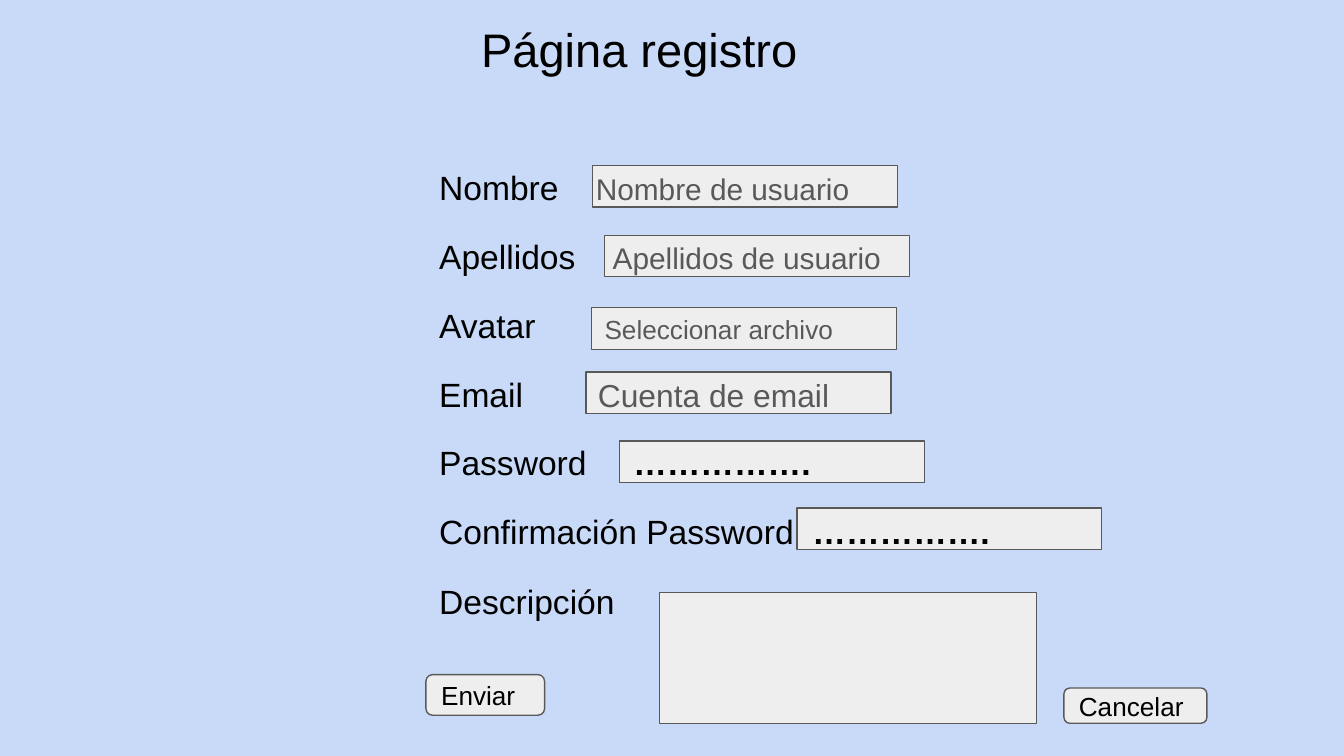
from pptx import Presentation
from pptx.dml.color import RGBColor
from pptx.enum.shapes import MSO_SHAPE
from pptx.enum.text import MSO_ANCHOR, PP_ALIGN
from pptx.util import Pt
from lxml.etree import SubElement
from pptx.oxml.ns import qn

HUES = {"back": "C9DAF8", "field": "EEEEEE", "edge": "595959",
        "hint": "595959", "ink": "000000"}
DOTS = "……………."
ROWS = [
    ("Nombre", 84, "Nombre de usuario", {"size": 16, "hue": "hint"}),
    ("Apellidos", 93, "Apellidos de usuario", {"size": 16, "hue": "hint"}),
    ("Avatar", 0, "", {}),
    ("Email", 85, "Cuenta de email", {"size": 17, "hue": "hint"}),
    ("Password", 104, DOTS, {"bold": True}),
    ("Confirmación Password", 200, DOTS, {"bold": True}),
]
FIELDS = [(89.3, 9.4), (95.8, 46.8), (88.6, 85.7),
          (85.7, 120.2), (103.7, 157), (198.7, 193)]


def hue(name):
    """Return the named colour."""
    return RGBColor.from_string(HUES[name])


def write(para, text, size=18, hue_name="ink", bold=False):
    """Add one formatted run to a paragraph."""
    run = para.add_run()
    run.text = text
    font = run.font
    font.name, font.size, font.bold = "Arial", Pt(size), bold
    font.color.rgb = hue(hue_name)


def inset(frame):
    """Give a text frame equal margins and wrapping."""
    frame.word_wrap = True
    frame.margin_left = frame.margin_right = Pt(7.2)
    frame.margin_top = frame.margin_bottom = Pt(7.2)


def label(slide, box, text="", **form):
    """Place a text box and return its frame."""
    frame = slide.shapes.add_textbox(*map(Pt, box)).text_frame
    inset(frame)
    if text:
        write(frame.paragraphs[0], text, **form)
    return frame


def panel(slide, box, text="", kind=MSO_SHAPE.RECTANGLE):
    """Place a grey field or button with optional text."""
    shape = slide.shapes.add_shape(kind, *map(Pt, box))
    shape.shadow.inherit = False
    shape.fill.solid()
    shape.fill.fore_color.rgb = hue("field")
    shape.line.color.rgb = hue("edge")
    shape.line.width = Pt(0.75)
    if text:
        frame = shape.text_frame
        inset(frame)
        frame.vertical_anchor = MSO_ANCHOR.MIDDLE
        para = frame.paragraphs[0]
        para.alignment = PP_ALIGN.LEFT
        tint = "ink" if kind == MSO_SHAPE.ROUNDED_RECTANGLE else "hint"
        write(para, text, size=14, hue_name=tint)


def set_tab(para, pos):
    """Add a left tab stop to a paragraph."""
    stops = SubElement(para._p.get_or_add_pPr(), qn("a:tabLst"))
    SubElement(stops, qn("a:tab"), pos=str(Pt(pos)), algn="l")


def form(slide, box):
    """Draw the entry fields and their labelled rows."""
    left, top, width, height = box
    for (x, y), row in zip(FIELDS, ROWS):
        text = "Seleccionar archivo" if row[0] == "Avatar" else ""
        panel(slide, (left + x, top + y, 163.4, 22.3), text)
    frame = label(slide, box)
    for i, (name, stop, value, look) in enumerate(ROWS):
        para = frame.add_paragraph() if i else frame.paragraphs[0]
        para.line_spacing = 1.15
        if i:
            para.space_before = Pt(12)
        write(para, name)
        if value:
            set_tab(para, stop)
            write(para, "\t" + value, size=look.get("size", 18),
                  hue_name=look.get("hue", "ink"),
                  bold=look.get("bold", False))


def foot(slide, box):
    """Draw the description area and the two buttons."""
    left, top, width, height = box
    label(slide, (left, top, 190.8, 36), "Descripción")
    panel(slide, (left + 125.2, top + 13.5, 201.8, 70.4))
    knob = MSO_SHAPE.ROUNDED_RECTANGLE
    panel(slide, (left, top + 57.6, 63.6, 21.8), "Enviar", knob)
    panel(slide, (left + width - 76.6, top + 64.8, 76.6, 18.9),
          "Cancelar", knob)


def main():
    """Build and save the slide."""
    deck = Presentation()
    deck.slide_width, deck.slide_height = Pt(720), Pt(405)
    slide = deck.slides.add_slide(deck.slide_layouts[6])
    slide.background.fill.solid()
    slide.background.fill.fore_color.rgb = hue("back")
    label(slide, (250.6, 3.6, 229, 45.4), "Página registro", size=25.2)
    form(slide, (228.2, 79.2, 490, 269.3))
    foot(slide, (228.2, 303.8, 418.4, 84))
    deck.save("out.pptx")


if __name__ == "__main__":
    main()
